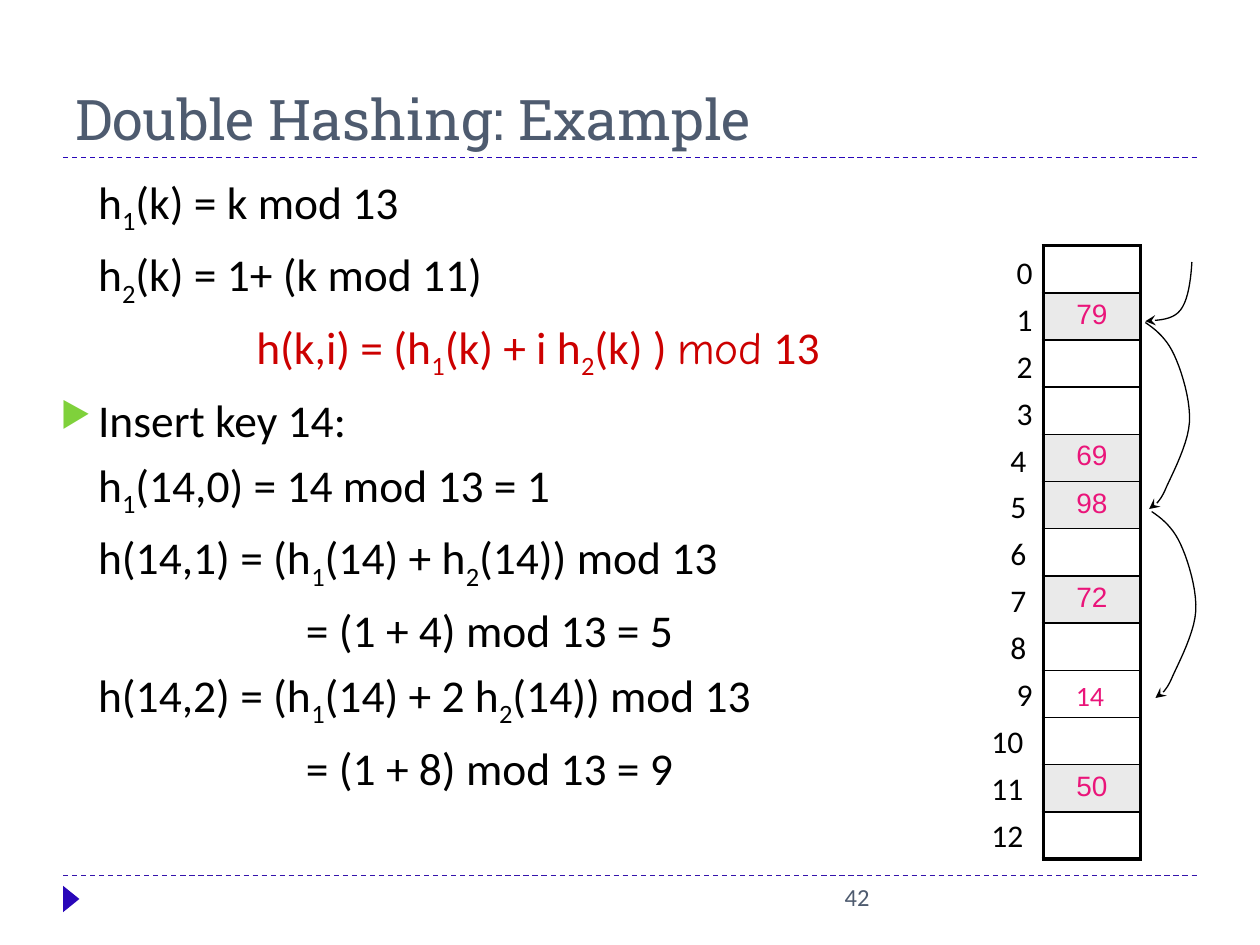
from dataclasses import dataclass

from lxml.etree import SubElement
from pptx import Presentation
from pptx.dml.color import RGBColor
from pptx.enum.dml import MSO_LINE
from pptx.enum.shapes import MSO_CONNECTOR, MSO_SHAPE
from pptx.enum.text import MSO_ANCHOR, PP_ALIGN
from pptx.oxml.ns import qn
from pptx.util import Pt

SCALE = 9144  # EMU in one px, 100 px to the inch


@dataclass(frozen=True)
class Theme:
    ink: str = "000000"
    slate: str = "4E5B6F"
    formula: str = "CC0000"
    key: str = "EA157A"
    filled: str = "EAEAEA"
    bullet: str = "7FD13B"
    violet: str = "2907B9"
    indigo: str = "3514AC"
    heading_font: str = "Roboto Slab"
    body_font: str = "Calibri"
    key_font: str = "Arial"
    casual_font: str = "Comic Neue"
    title: int = 32
    body: int = 26
    label: int = 18
    entry: int = 16
    number: int = 14
    thin: float = 0.75
    inner: float = 1
    outer: float = 2.25


def px(value):
    return round(value * SCALE)


def color(value):
    return RGBColor.from_string(value)


def bezier(start, first, second, end, steps=10):
    """Points along a cubic curve, without its start."""
    for step in range(1, steps + 1):
        t = step / steps
        u = 1 - t
        yield tuple(u**3 * a + 3 * u * u * t * b + 3 * u * t * t * c + t**3 * d
                    for a, b, c, d in zip(start, first, second, end))


class SlideBuilder:
    def __init__(self, page, theme):
        self.page = page
        self.theme = theme

    def span(self, para, text, size, ink, font, subscript=False):
        run = para.add_run()
        run.text = text
        run.font.size = Pt(size)
        run.font.name = font
        run.font.color.rgb = color(ink)
        if subscript:
            run.font._element.set("baseline", "-25000")

    def formula(self, para, text, ink, font):
        """Add text in which the character after each _ is a subscript."""
        plain, *rest = text.split("_")
        self.span(para, plain, self.theme.body, ink, font)
        for piece in rest:
            self.span(para, piece[0], self.theme.body, ink, font, subscript=True)
            self.span(para, piece[1:], self.theme.body, ink, font)

    def frame(self, left, top, width, height, anchor=MSO_ANCHOR.TOP):
        box = self.page.shapes.add_textbox(px(left), px(top), px(width), px(height))
        box.text_frame.word_wrap = True
        box.text_frame.vertical_anchor = anchor
        return box.text_frame

    def text(self, place, text, size, ink, font=None, align=PP_ALIGN.LEFT, anchor=MSO_ANCHOR.TOP):
        para = self.frame(*place, anchor).paragraphs[0]
        para.alignment = align
        self.span(para, text, size, ink, font or self.theme.body_font)

    def body(self, place, lines):
        frame = self.frame(*place)
        for index, (indent, ink, align, bulleted, pieces) in enumerate(lines):
            para = frame.add_paragraph() if index else frame.paragraphs[0]
            para.alignment = align
            para.space_before = Pt(6 if index else 0)
            props = para._element.get_or_add_pPr()
            props.set("marL", str(px(indent)))
            props.set("indent", str(px(-indent if bulleted else 0)))
            if bulleted:
                SubElement(SubElement(props, qn("a:buClr")), qn("a:srgbClr"), val=self.theme.bullet)
                SubElement(props, qn("a:buSzPct"), val="76000")
                SubElement(props, qn("a:buChar"), char="▶")
            for text, font in pieces:
                self.formula(para, text, ink, font)

    def rule(self, y, ink):
        line = self.page.shapes.add_connector(MSO_CONNECTOR.STRAIGHT, px(50), px(y), px(950), px(y))
        line.line.color.rgb = color(ink)
        line.line.width = Pt(self.theme.thin)
        line.line.dash_style = MSO_LINE.DASH
        SubElement(line._element.spPr, qn("a:effectLst"))

    def triangle(self, left, top, width, height, ink):
        shape = self.page.shapes.add_shape(MSO_SHAPE.ISOSCELES_TRIANGLE, px(left), px(top), px(width), px(height))
        shape.rotation = 90
        shape.shadow.inherit = False
        shape.fill.solid()
        shape.fill.fore_color.rgb = color(ink)
        shape.line.fill.background()

    def border(self, cell, side, width):
        line = SubElement(cell._tc.get_or_add_tcPr(), qn(f"a:ln{side}"), w=str(Pt(width)))
        SubElement(SubElement(line, qn("a:solidFill")), qn("a:srgbClr"), val=self.theme.ink)

    def slots(self, left, top, width, height, count, keys):
        theme = self.theme
        table = self.page.shapes.add_table(count, 1, px(left), px(top), px(width), px(height)).table
        table.first_row = table.horz_banding = False
        for slot in range(count):
            table.rows[slot].height = px(height / count)
            cell = table.cell(slot, 0)
            cell.margin_top, cell.margin_bottom = px(5), 0
            upper = theme.inner if slot else theme.outer
            lower = theme.inner if slot < count - 1 else theme.outer
            for side, weight in zip("LRTB", (theme.outer, theme.outer, upper, lower)):
                self.border(cell, side, weight)
            if slot not in keys:
                cell.fill.background()
                continue
            cell.fill.solid()
            cell.fill.fore_color.rgb = color(theme.filled)
            para = cell.text_frame.paragraphs[0]
            para.alignment = PP_ALIGN.CENTER
            self.span(para, keys[slot], theme.entry, theme.key, theme.key_font)

    def curved_arrow(self, start, *curves):
        points = [start]
        for curve in curves:
            points.extend(bezier(points[-1], *curve))
        points = [(px(x), px(y)) for x, y in points]
        builder = self.page.shapes.build_freeform(*points[0])
        builder.add_line_segments(points[1:], close=False)
        shape = builder.convert_to_shape()
        shape.shadow.inherit = False
        shape.fill.background()
        shape.line.color.rgb = color(self.theme.ink)
        shape.line.width = Pt(self.theme.thin)
        SubElement(shape._element.spPr.find(qn("a:ln")), qn("a:tailEnd"), type="stealth")


def main():
    theme = Theme()
    deck = Presentation()
    deck.slide_width, deck.slide_height = px(1000), px(750)
    slide = SlideBuilder(deck.slides.add_slide(deck.slide_layouts[6]), theme)

    # Rules, corner mark and page number
    slide.rule(695, theme.indigo)
    slide.rule(125, theme.violet)
    slide.triangle(46, 707, 21, 13, theme.violet)
    slide.text((317, 695, 383, 40), "42", theme.number, theme.slate, align=PP_ALIGN.RIGHT)

    # Title
    slide.text((50, 17, 900, 108), "Double Hashing: Example", theme.title, theme.slate,
               theme.heading_font, anchor=MSO_ANCHOR.BOTTOM)

    # Hash functions and worked probes
    def line(text, indent=30, bulleted=False):
        return indent, theme.ink, PP_ALIGN.LEFT, bulleted, [(text, theme.body_font)]

    combined = [("h(k,i) = (h_1(k) + i h_2(k) ) ", theme.body_font),
                ("mod", theme.casual_font), (" 13", theme.body_font)]
    slide.body((38, 133, 778, 555), [
        line("h_1(k) = k mod 13"),
        line("h_2(k) = 1+ (k mod 11)"),
        (0, theme.formula, PP_ALIGN.CENTER, False, combined),
        line("Insert key 14:", bulleted=True),
        line("h_1(14,0) = 14 mod 13 = 1"),
        line("h(14,1) = (h_1(14) + h_2(14)) mod 13"),
        line("= (1 + 4) mod 13 = 5", indent=195),
        line("h(14,2) = (h_1(14) + 2 h_2(14)) mod 13"),
        line("= (1 + 8) mod 13 = 9", indent=195),
    ])

    # Hash table and slot numbers, all ending at the same right edge
    slide.slots(828, 195, 77, 487, 13, {1: "79", 4: "69", 5: "98", 7: "72", 11: "50"})
    for slot in range(13):
        width = 54 if slot > 9 else 39 if 4 <= slot <= 8 else 34
        slide.text((831 - width, 196 + 37.2 * slot, width, 40), str(slot), theme.label, theme.ink)

    # Probe sequence
    slide.curved_arrow((946, 208), ((945, 223), (943, 238), (937, 246)),
                       ((931, 254), (920, 254), (909, 255)))
    for x, y in ((909, 256), (914, 406)):
        bends = (((9, 6), (17, 13), (23, 26)), ((29, 39), (36, 62), (35, 79)),
                 ((34, 96), (22, 119), (17, 130)), ((12, 142), (8, 145), (3, 148)))
        slide.curved_arrow((x, y), *[[(x + dx, y + dy) for dx, dy in bend] for bend in bends])

    # Inserted key
    slide.text((844, 534, 45, 37), "14", theme.entry, theme.key)

    deck.save("out.pptx")


if __name__ == "__main__":
    main()
